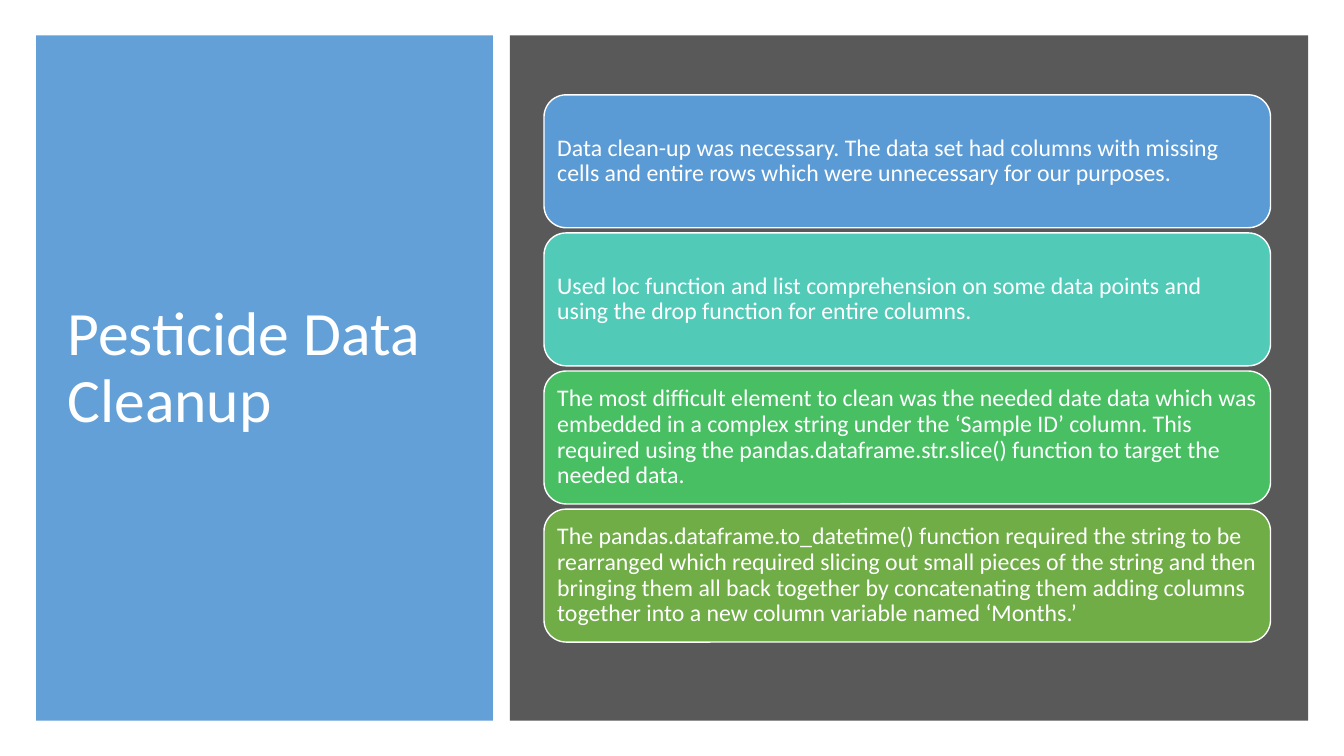
from lxml import etree
from pptx import Presentation
from pptx.dml.color import RGBColor
from pptx.enum import shapes, text
from pptx.oxml import ns
from pptx.util import Cm, Pt

WHITE = RGBColor(0xFF, 0xFF, 0xFF)
BLUE = RGBColor(0x5B, 0x9B, 0xD5)
TEAL = RGBColor(0x52, 0xCA, 0xB8)
GREEN = RGBColor(0x49, 0xBF, 0x64)
OLIVE = RGBColor(0x70, 0xAD, 0x47)
GREY = RGBColor(0x59, 0x59, 0x59)

TITLE = "Pesticide Data Cleanup"
CARDS = [
    (BLUE, "Data clean-up was necessary. The data set had columns with missing cells "
           "and entire rows which were unnecessary for our purposes."),
    (TEAL, "Used loc function and list comprehension on some data points and using "
           "the drop function for entire columns."),
    (GREEN, "The most difficult element to clean was the needed date data which was "
            "embedded in a complex string under the ‘Sample ID’ column. This required "
            "using the pandas.dataframe.str.slice() function to target the needed data."),
    (OLIVE, "The pandas.dataframe.to_datetime() function required the string to be "
            "rearranged which required slicing out small pieces of the string and then "
            "bringing them all back together by concatenating them adding columns "
            "together into a new column variable named ‘Months.’"),
]

PANEL_TOP, PANEL_HEIGHT = 0.89, 17.27
CARD_LEFT, CARD_TOP, CARD_WIDTH, CARD_HEIGHT = 13.71, 2.39, 18.31, 3.35
CARD_PITCH = 3.48
CARD_INSET = Cm(0.17)


def add_block(page, kind, left, top, width, height, color):
    block = page.shapes.add_shape(kind, Cm(left), Cm(top), Cm(width), Cm(height))
    block.shadow.inherit = False
    block.fill.solid()
    block.fill.fore_color.rgb = color
    block.line.fill.background()
    return block


def write(box, words, size):
    frame = box.text_frame
    frame.text = words
    frame.word_wrap = True
    frame.auto_size = text.MSO_AUTO_SIZE.NONE
    frame.vertical_anchor = text.MSO_ANCHOR.MIDDLE
    para = frame.paragraphs[0]
    para.alignment = text.PP_ALIGN.LEFT
    para.line_spacing = 0.9
    para.font.name = "Calibri"
    para.font.size = Pt(size)
    para.font.color.rgb = WHITE


def main():
    deck = Presentation()
    deck.slide_width, deck.slide_height = Cm(33.87), Cm(19.05)
    page = deck.slides.add_slide(deck.slide_layouts.get_by_name("Title Only"))

    rectangle = shapes.MSO_SHAPE.RECTANGLE
    title_panel = add_block(page, rectangle, 0.91, PANEL_TOP, 11.51, PANEL_HEIGHT, BLUE)
    panel_color = title_panel.fill._xPr.find(ns.qn("a:solidFill"))[0]
    etree.SubElement(panel_color, ns.qn("a:alpha"), val="95000")

    title = page.shapes.title
    title.left, title.top, title.width, title.height = Cm(1.45), Cm(1.63), Cm(10.34), Cm(15.34)
    write(title, TITLE, 44)
    title_panel._element.addnext(title._element)

    add_block(page, rectangle, 12.85, PANEL_TOP, 20.12, PANEL_HEIGHT, GREY)
    for row, (color, words) in enumerate(CARDS):
        card = add_block(page, shapes.MSO_SHAPE.ROUNDED_RECTANGLE, CARD_LEFT,
                         CARD_TOP + row * CARD_PITCH, CARD_WIDTH, CARD_HEIGHT, color)
        card.line.color.rgb = WHITE
        card.line.width = Pt(1)
        write(card, words, 17)
        frame = card.text_frame
        frame.margin_left = frame.margin_right = CARD_INSET
        frame.margin_top = frame.margin_bottom = CARD_INSET

    deck.save("out.pptx")


if __name__ == "__main__":
    main()
